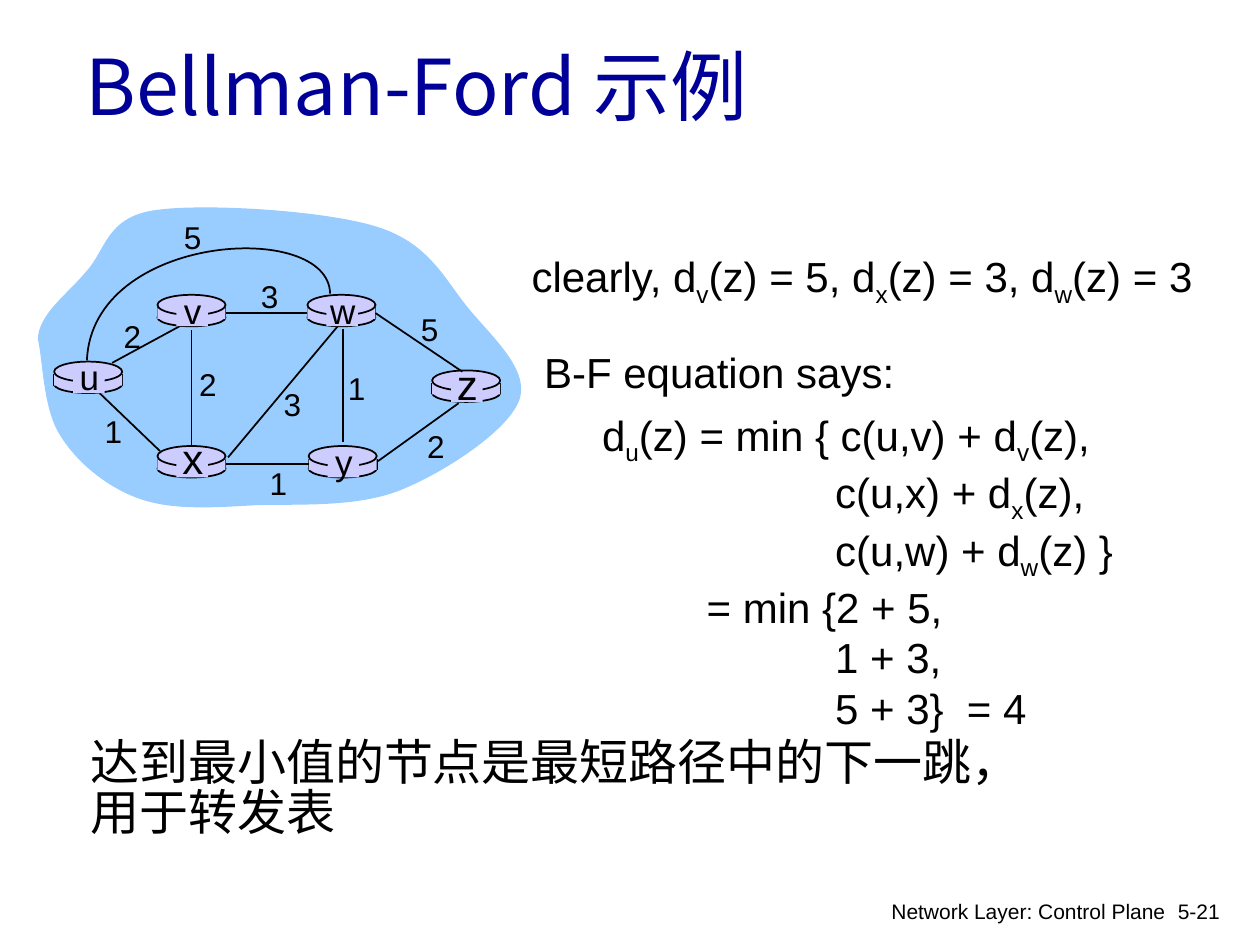
import pptx
import pptx.util
import pptx.dml.color
import pptx.enum.shapes
import pptx.enum.text
import pptx.oxml.ns
import lxml.etree

SCALE = 9144  # EMU in one px, 100 px to the inch
COLORS = {"title": "000099", "ink": "000000", "cloud": "99CCFF", "node": "CCCCFF"}
LATIN, HAN = "Arial", "Noto Sans CJK SC"
KIND = pptx.enum.shapes.MSO_SHAPE
ALIGN = pptx.enum.text.PP_ALIGN

# name: left, top, letter size, letter shift
NODES = {
    "u": (43, 287, 20, 0), "x": (125, 354, 24, -3), "v": (125, 234, 20, 0),
    "w": (244, 234, 20, 0), "y": (245, 354, 20, 0), "z": (343, 294, 24, -1),
}
# begin, end; an end is a point, or a node and the side it joins
EDGES = [
    ((89, 288), (148, 256)), ((272, 261), (272, 351)), ((152, 262), (152, 355)),
    ((181, 363), (268, 259)), ((300, 366), (364, 320)), ((127, 358), (79, 312)),
    (("y", 1), ("x", 3)), (("w", 1), ("v", 3)), (("w", 3), (367, 295)),
]
COSTS = [
    ("2", 88, 247), ("2", 148, 285), ("1", 73, 322), ("3", 215, 301), ("1", 204, 363),
    ("1", 266, 288), ("2", 329, 334), ("5", 324, 241), ("3", 197, 215), ("5", 136, 168),
]
# start, then two control points and an end for each curve
CLOUD = [
    (30, 269), (31, 249), (53, 234), (68, 216), (84, 199), (84, 173), (122, 167),
    (161, 161), (258, 167), (299, 180), (341, 193), (353, 222), (372, 245),
    (391, 268), (421, 294), (412, 318), (403, 342), (353, 375), (318, 389),
    (283, 403), (237, 400), (203, 401), (168, 403), (137, 405), (111, 396),
    (85, 387), (61, 367), (48, 346), (34, 325), (34, 285), (30, 269),
]
ARC = [(262, 233), (261, 174), (73, 185), (69, 286)]
# indent, text; "_" lowers the next letter
MATH = [
    (0, "d_u(z) = min { c(u,v) + d_v(z),"), (185, "c(u,x) + d_x(z),"),
    (185, "c(u,w) + d_w(z) }"), (83, "= min {2 + 5,"), (185, "1 + 3,"),
    (185, "5 + 3}  = 4"),
]


def px(*vals):
    return [pptx.util.Emu(round(val * SCALE)) for val in vals]


def rgb(name):
    return pptx.dml.color.RGBColor.from_string(COLORS[name])


def style(para, size, face=LATIN, color="ink"):
    for run in para.runs:
        font = run.font
        font.size, font.name = pptx.util.Pt(size), face
        font.color.rgb = rgb(color)
        tag = pptx.oxml.ns.qn("a:ea")
        lxml.etree.SubElement(font._element, tag).set("typeface", face)


def fill_para(para, text):
    """Write the text, lowering each letter that follows "_"."""
    head, *rest = text.split("_")
    para.text = head
    for part in rest:
        low = para.add_run()
        low.text = part[0]
        low.font._element.set("baseline", "-25000")
        para.add_run().text = part[1:]


def add_text(slide, box, lines, size, face=LATIN, align=ALIGN.LEFT, space=None):
    frame = slide.shapes.add_textbox(*px(*box)).text_frame
    frame.word_wrap = False
    for num, (indent, text) in enumerate(lines):
        para = frame.add_paragraph() if num else frame.paragraphs[0]
        fill_para(para, text)
        para.alignment, para.line_spacing = align, space
        if indent:
            props = para._p.get_or_add_pPr()
            props.set("marL", str(px(indent)[0]))
            props.set("indent", "0")
        style(para, size, face)


def paint(shape, fill=None, line=True):
    shape.shadow.inherit = False
    if fill:
        shape.fill.solid()
        shape.fill.fore_color.rgb = rgb(fill)
    else:
        shape.fill.background()
    if line:
        shape.line.color.rgb = rgb("ink")
        shape.line.width = pptx.util.Pt(1)
    else:
        shape.line.fill.background()


def add_shape(slide, kind, box, line=True):
    shape = slide.shapes.add_shape(kind, *px(*box))
    paint(shape, "node", line)
    return shape


def add_line(slide, begin, end):
    line = slide.shapes.add_connector(
        pptx.enum.shapes.MSO_CONNECTOR.STRAIGHT, *px(*begin, *end))
    line.line.color.rgb = rgb("ink")
    line.line.width = pptx.util.Pt(1)
    lxml.etree.SubElement(line._element.spPr, pptx.oxml.ns.qn("a:effectLst"))
    return line


def add_curve(slide, pts, fill=None):
    """Draw a chain of cubic curves; each three line steps become one curve."""
    form = slide.shapes.build_freeform(*px(*pts[0]), scale=1.0)
    form.add_line_segments([px(*pt) for pt in pts[1:]], close=bool(fill))
    shape = form.convert_to_shape()
    qn = pptx.oxml.ns.qn
    steps = list(shape._element.iter(qn("a:lnTo")))[:len(pts) - 1]
    for num in range(0, len(steps), 3):
        curve = lxml.etree.Element(qn("a:cubicBezTo"))
        steps[num].addprevious(curve)
        for step in steps[num:num + 3]:
            curve.append(step[0])
            step.getparent().remove(step)
    paint(shape, fill, line=not fill)


def add_node(slide, left, top):
    """Draw a router as a flat drum and return its band."""
    add_shape(slide, KIND.OVAL, (left, top + 11, 54, 14))
    for side in (left, left + 54):
        add_line(slide, (side, top + 10), (side, top + 19))
    band = add_shape(slide, KIND.RECTANGLE, (left, top + 10, 54, 9), line=False)
    add_shape(slide, KIND.OVAL, (left, top, 54, 16))
    return band


def add_edge(slide, bands, begin, end):
    line = add_line(slide, *[(0, 0) if pt[0] in bands else pt for pt in (begin, end)])
    for pt, join in ((begin, line.begin_connect), (end, line.end_connect)):
        if pt[0] in bands:
            join(bands[pt[0]], pt[1])


def add_label(slide, name, left, top, size, shift):
    add_shape(slide, KIND.RECTANGLE, (left + 15, top + 2, 25, 23), line=False)
    high = 43 if size == 20 else 50
    box = (left + 8, top + 12 + shift - high / 2, 40, high)
    add_text(slide, box, [(0, name)], size, align=ALIGN.CENTER)


def add_title(slide, text):
    title = slide.shapes.title
    title.left, title.top, title.width, title.height = px(58, 19, 850, 96)
    frame = title.text_frame
    frame.text = text
    frame.vertical_anchor = pptx.enum.text.MSO_ANCHOR.MIDDLE
    frame.paragraphs[0].alignment = ALIGN.LEFT
    style(frame.paragraphs[0], 44, HAN, "title")


def main():
    deck = pptx.Presentation()
    deck.slide_width, deck.slide_height = px(1000, 750)
    slide = deck.slides.add_slide(deck.slide_layouts[5])
    add_title(slide, "Bellman-Ford 示例")

    # Network graph
    add_curve(slide, CLOUD, "cloud")
    add_edge(slide, {}, *EDGES[0])
    bands = {name: add_node(slide, *spot[:2]) for name, spot in NODES.items()}
    for edge in EDGES[1:]:
        add_edge(slide, bands, *edge)
    add_curve(slide, ARC)
    for name, spot in NODES.items():
        add_label(slide, name, *spot)
    for cost, left, top in COSTS:
        add_text(slide, (left, top, 34, 40), [(0, cost)], 18, align=ALIGN.CENTER)

    # Equation
    known = "clearly, d_v(z) = 5, d_x(z) = 3, d_w(z) = 3"
    add_text(slide, (412, 194, 552, 50), [(0, known)], 24)
    add_text(slide, (468, 320, 431, 252), MATH, 24)
    add_text(slide, (422, 270, 298, 50), [(0, "B-F equation says:")], 24)

    # Conclusion
    notes = [(0, "达到最小值的节点是最短路径中的下一跳，"), (0, "用于转发表")]
    add_text(slide, (62, 583, 766, 90), notes, 28, HAN, space=0.85)

    # Footer
    add_text(slide, (925, 708, 60, 30), [(0, "5-21")], 12)
    add_text(slide, (697, 708, 238, 26), [(0, "Network Layer: Control Plane")], 12,
             align=ALIGN.RIGHT)
    deck.save("out.pptx")


if __name__ == "__main__":
    main()
